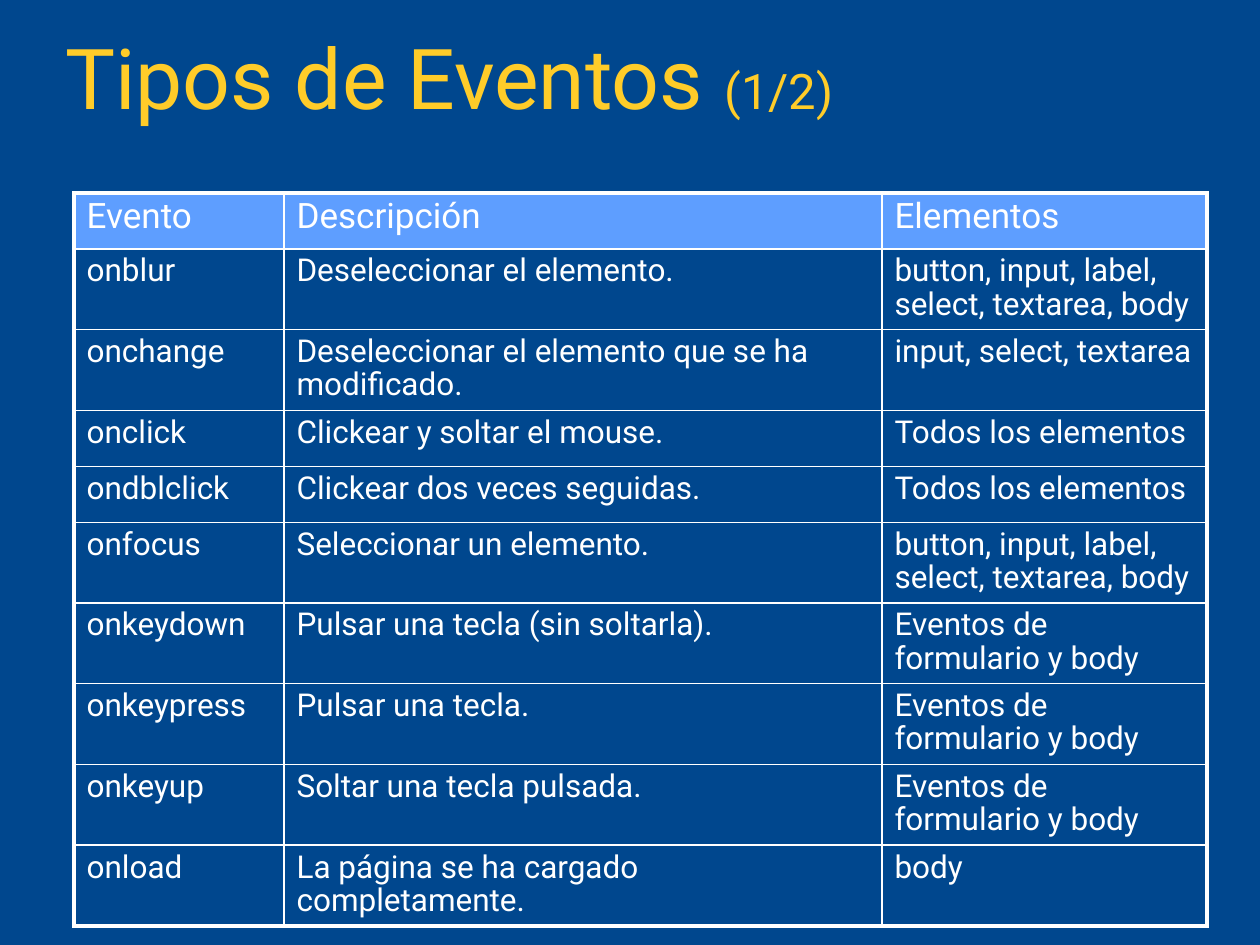
from dataclasses import dataclass
from pptx import Presentation
from pptx.dml.color import RGBColor
from pptx.enum.text import MSO_ANCHOR
from pptx.oxml.ns import qn
from pptx.util import Pt
from lxml.etree import SubElement

PX = 914400 // 126


@dataclass(frozen=True)
class Theme:
    """Colours, font and type sizes of the slide."""
    font: str = "Roboto"
    back: str = "00478E"
    title: str = "FFCC29"
    head: str = "5E9EFF"
    text: str = "FFFFFF"
    title_size: int = 48
    part_size: int = 28
    head_size: int = 20
    body_size: int = 18
    thin: float = 1
    thick: float = 2.25


T = Theme()
COLS = (210, 598, 325)
ONE_LINE, TWO_LINES = 56, 79
FORM = "Eventos de formulario y body"
FOCUS = "button, input, label, select, textarea, body"
ROWS = [
    (ONE_LINE, "Evento", "Descripción", "Elementos"),
    (TWO_LINES, "onblur", "Deseleccionar el elemento.", FOCUS),
    (TWO_LINES, "onchange", "Deseleccionar el elemento que se ha modificado.",
     "input, select, textarea"),
    (ONE_LINE, "onclick", "Clickear y soltar el mouse.", "Todos los elementos"),
    (ONE_LINE, "ondblclick", "Clickear dos veces seguidas.", "Todos los elementos"),
    (TWO_LINES, "onfocus", "Seleccionar un elemento.", FOCUS),
    (TWO_LINES, "onkeydown", "Pulsar una tecla (sin soltarla).", FORM),
    (TWO_LINES, "onkeypress", "Pulsar una tecla.", FORM),
    (TWO_LINES, "onkeyup", "Soltar una tecla pulsada.", FORM),
    (TWO_LINES, "onload", "La página se ha cargado completamente.", "body"),
]


def style(r, size, color):
    """Set the font, size and colour of a run."""
    r.font.name = T.font
    r.font.size = Pt(size)
    r.font.color.rgb = RGBColor.from_string(color)


def add_title(s, x, y, w, h):
    """Write the title with its smaller part number."""
    tf = s.shapes.add_textbox(x * PX, y * PX, w * PX, h * PX).text_frame
    tf.word_wrap = True
    tf.vertical_anchor = MSO_ANCHOR.MIDDLE
    p = tf.paragraphs[0]
    p.line_spacing = 0.9
    for text, size in (("Tipos de Eventos ", T.title_size), ("(1/2)", T.part_size)):
        r = p.add_run()
        r.text = text
        style(r, size, T.title)


def set_borders(cell, outer):
    """Draw the four cell borders, thick on the outer sides."""
    tcPr = cell._tc.get_or_add_tcPr()
    for side in "LRTB":
        width = T.thick if side in outer else T.thin
        ln = SubElement(tcPr, qn(f"a:ln{side}"), w=str(Pt(width)))
        fill = SubElement(ln, qn("a:solidFill"))
        SubElement(fill, qn("a:srgbClr"), val=T.text)


def fill_cell(cell, text, header, outer):
    """Write and format one table cell."""
    cell.text = text
    p = cell.text_frame.paragraphs[0]
    p.line_spacing = 0.9
    style(p.runs[0], T.head_size if header else T.body_size, T.text)
    set_borders(cell, outer)
    if header:
        cell.fill.solid()
        cell.fill.fore_color.rgb = RGBColor.from_string(T.head)
    else:
        cell.fill.background()


def add_events(s, x, y):
    """Build the table of events."""
    height = sum(row[0] for row in ROWS)
    table = s.shapes.add_table(len(ROWS), len(COLS), x * PX, y * PX,
                               sum(COLS) * PX, height * PX).table
    table.horz_banding = False
    for col, w in zip(table.columns, COLS):
        col.width = w * PX
    for i, (h, *texts) in enumerate(ROWS):
        table.rows[i].height = h * PX
        for j, text in enumerate(texts):
            edges = {"L": j == 0, "R": j == len(COLS) - 1,
                     "T": i == 0, "B": i == len(ROWS) - 1}
            outer = [side for side, on in edges.items() if on]
            fill_cell(table.cell(i, j), text, i == 0, outer)


def main():
    """Build and save the slide."""
    prs = Presentation()
    prs.slide_width, prs.slide_height = 1260 * PX, 945 * PX
    s = prs.slides.add_slide(prs.slide_layouts[6])
    s.background.fill.solid()
    s.background.fill.fore_color.rgb = RGBColor.from_string(T.back)
    add_title(s, 53, 31, 1157, 103)
    add_events(s, 74, 193)
    prs.save("out.pptx")


main()
